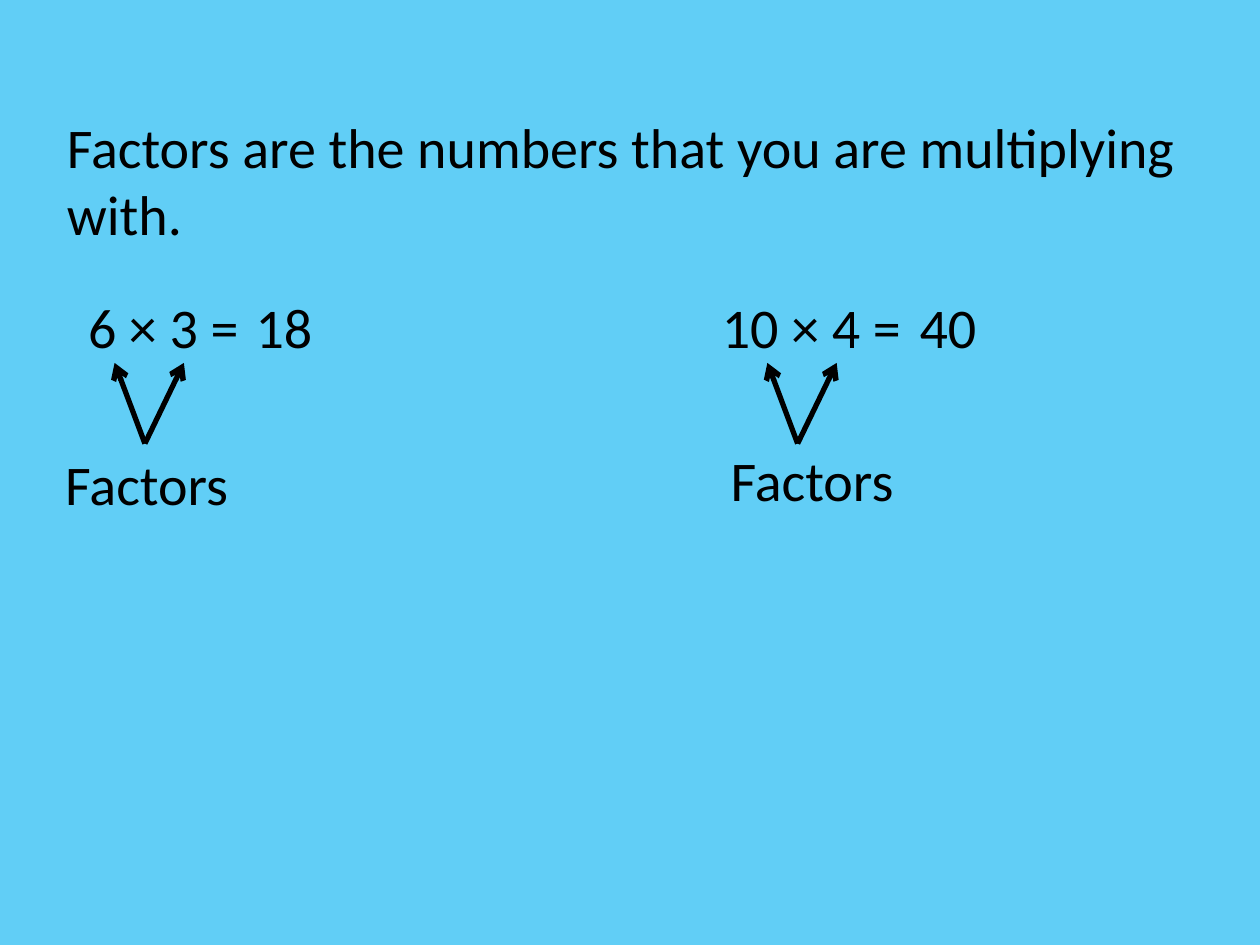
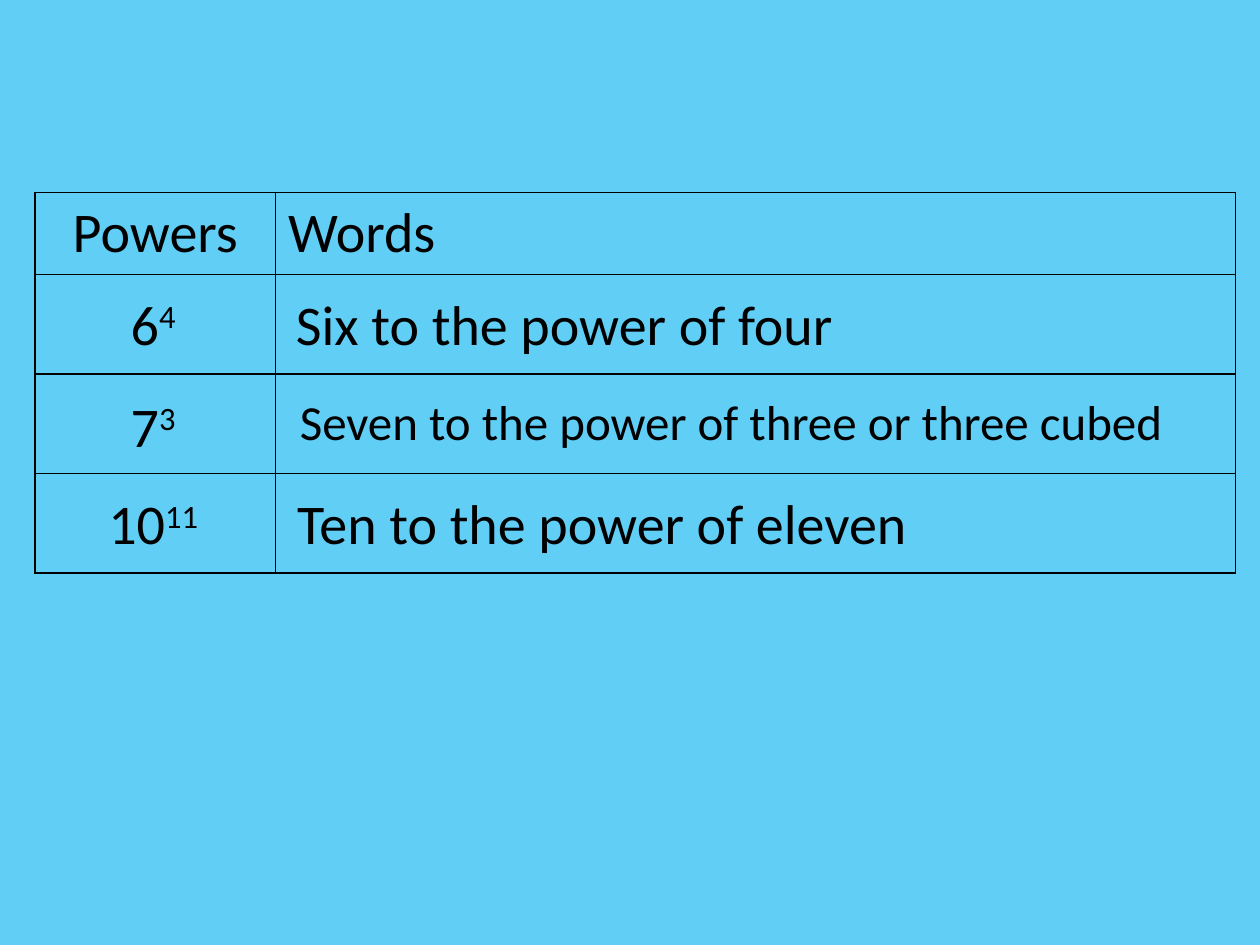
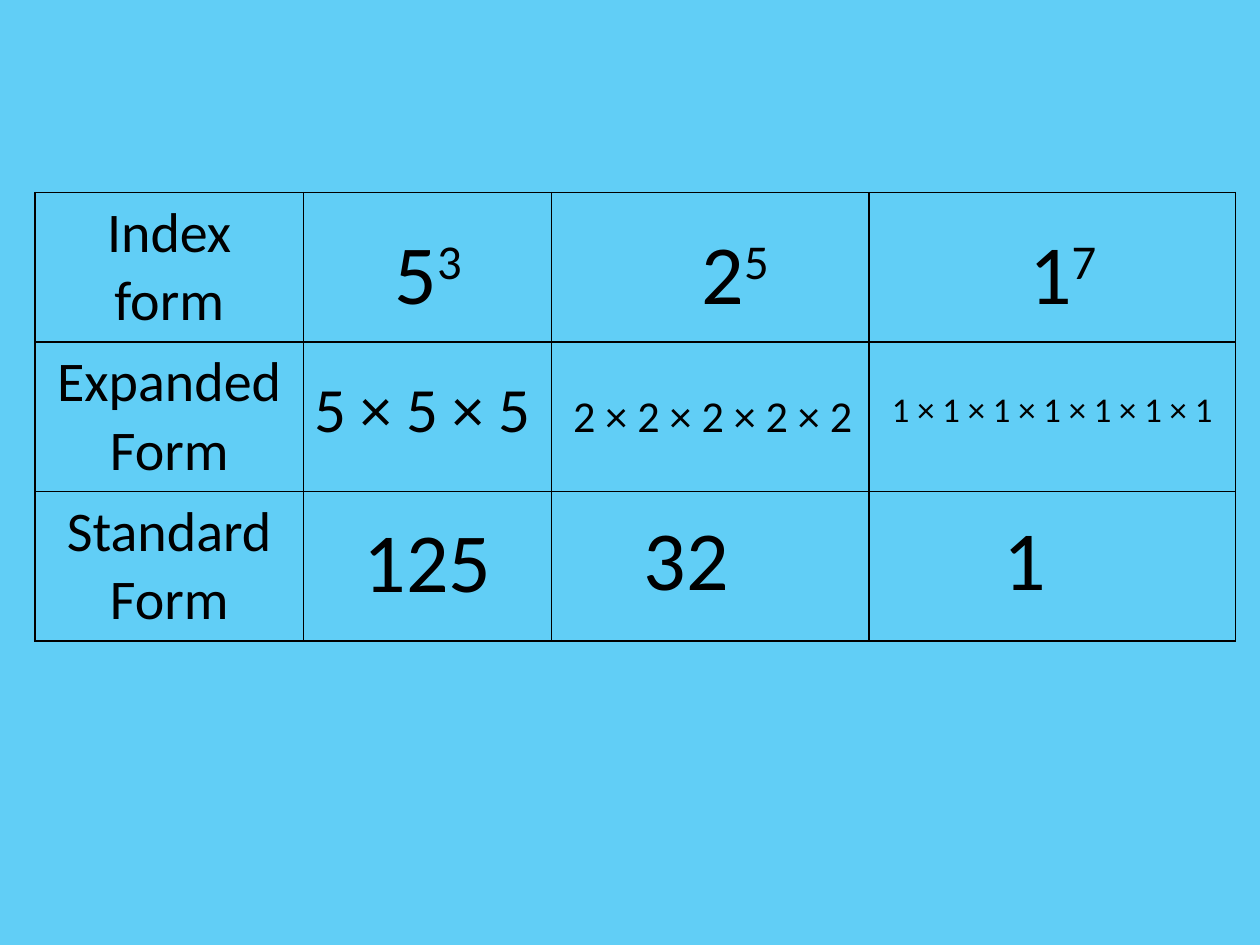
from lxml import etree
from pptx import Presentation
from pptx.dml.color import RGBColor
from pptx.enum import shapes, text
from pptx.oxml import ns
from pptx.util import Pt

BLACK = RGBColor(0x00, 0x00, 0x00)
SKY = RGBColor(0x61, 0xCE, 0xF6)
FONT = "Calibri"
BODY_LAYOUT, BLANK_LAYOUT = 1, 6
CENTER = text.PP_ALIGN.CENTER


def write(frame, content, size=32, align=None):
    """Fill a text frame with one paragraph; text after ^ is raised."""
    frame.word_wrap = True
    paragraph = frame.paragraphs[0]
    paragraph.alignment = align
    paragraph.space_before = Pt(0)
    base, _, power = content.partition("^")
    for part, raised in ((base, False), (power, True)):
        if not part:
            continue
        run = paragraph.add_run()
        run.text = part
        run.font.name = FONT
        run.font.size = Pt(size)
        run.font.color.rgb = BLACK
        if raised:
            run._r.get_or_add_rPr().set("baseline", "30000")


def add_borders(cell, width=1):
    properties = cell._tc.get_or_add_tcPr()
    for side in ("a:lnL", "a:lnR", "a:lnT", "a:lnB"):
        line = etree.SubElement(properties, ns.qn(side), w=str(Pt(width)))
        fill = etree.SubElement(line, ns.qn("a:solidFill"))
        etree.SubElement(fill, ns.qn("a:srgbClr"), val=str(BLACK))


class Deck:
    def __init__(self):
        self.presentation = Presentation()
        self.presentation.slide_width = Pt(720)
        self.presentation.slide_height = Pt(540)
        self.slide = None

    def new_slide(self, layout):
        layouts = self.presentation.slide_layouts
        self.slide = self.presentation.slides.add_slide(layouts[layout])
        fill = self.slide.background.fill
        fill.solid()
        fill.fore_color.rgb = SKY
        title = self.slide.shapes.title
        if title is not None:
            title._element.getparent().remove(title._element)

    def body(self, content, left, top, width, height, **style):
        """Place the body placeholder without a bullet."""
        shape = self.slide.placeholders[1]
        shape.left, shape.top = Pt(left), Pt(top)
        shape.width, shape.height = Pt(width), Pt(height)
        frame = shape.text_frame
        frame.auto_size = text.MSO_AUTO_SIZE.NONE
        properties = frame.paragraphs[0]._p.get_or_add_pPr()
        properties.set("marL", "0")
        properties.set("indent", "0")
        etree.SubElement(properties, ns.qn("a:buNone"))
        write(frame, content, **style)

    def label(self, content, left, top, width, height, **style):
        box = self.slide.shapes.add_textbox(Pt(left), Pt(top), Pt(width), Pt(height))
        write(box.text_frame, content, **style)

    def arrow(self, start, end):
        line = self.slide.shapes.add_connector(
            shapes.MSO_CONNECTOR.STRAIGHT, *map(Pt, start + end))
        line.line.color.rgb = BLACK
        line.line.width = Pt(3)
        etree.SubElement(line.line._get_or_add_ln(), ns.qn("a:tailEnd"), type="arrow")
        etree.SubElement(line._element.spPr, ns.qn("a:effectLst"))

    def table(self, widths, heights, entries):
        """Draw an outlined grid; entries maps (row, column) to (text, alignment)."""
        table = self.slide.shapes.add_table(
            len(heights), len(widths), Pt(20), Pt(110),
            Pt(sum(widths)), Pt(sum(heights))).table
        table.first_row = table.horz_banding = False
        for column, width in zip(table.columns, widths):
            column.width = Pt(width)
        for row, height in zip(table.rows, heights):
            row.height = Pt(height)
        for cell in table.iter_cells():
            add_borders(cell)
            cell.fill.background()
        for (row, column), (content, align) in entries.items():
            write(table.cell(row, column).text_frame, content, align=align)


def factors_slide(deck):
    deck.new_slide(BODY_LAYOUT)
    deck.body("Factors are the numbers that you are multiplying with.",
              31, 60.5, 669, 93)
    sums = (
        ("6 × 3 =", 43.2, 107, "18", 139, 82.8, (30.2, 253.5)),
        ("10 × 4 =", 405.4, 123, "40", 518.4, 455.8, (410.4, 251.3)),
    )
    for question, left, width, product, product_left, fork, factors in sums:
        deck.label(question, left, 163.5, width, 55)
        deck.label(product, product_left, 163.5, 53, 54)
        for offset in (-17.3, 22.3):
            deck.arrow((fork, 253.5), (fork + offset, 207.4))
        deck.label("Factors", *factors, 109, 54)


def powers_slide(deck):
    deck.new_slide(BLANK_LAYOUT)
    deck.table((137.5, 548.6), (46.8, 56.9, 56.9, 56.9),
               {(0, 0): ("Powers", CENTER), (0, 1): ("Words", None)})
    rows = (
        (162, "6^4", "Six to the power of four", 162, 32),
        (220.3, "7^3", "Seven to the power of three or three cubed", 164.2, 28),
        (275.8, "10^11", "Ten to the power of eleven", 162.7, 32),
    )
    for top, power, words, left, size in rows:
        deck.label(power, 25.2, top, 124.6, 46, align=CENTER)
        deck.label(words, left, top, 538, 46, size=size)


def forms_slide(deck):
    deck.new_slide(BODY_LAYOUT)
    forms = ("Index form", "Expanded Form", "Standard Form")
    deck.table((153.4, 141.8, 181.4, 209.5), (85.3,) * 3,
               {(row, 0): (form, CENTER) for row, form in enumerate(forms)})
    index_row = dict(top=122.4, width=67.7, height=67.7, size=48)
    deck.body("5^3", 218.2, **index_row)
    deck.label("2^5", 393.8, **index_row)
    deck.label("1^7", 581, **index_row)

    expanded = (
        (5, 3, 172.8, 207.4, 169, 36),
        (2, 5, 320.4, 218.2, 182, 25.2),
        (1, 7, 502.6, 218.2, 209.5, 19.8),
    )
    for base, power, left, top, width, size in expanded:
        deck.label(" × ".join([str(base)] * power), left, top, width, 46, size=size)

    for value, left, top in (("125", 200.9, 287.3), ("32", 360.7, 285.8),
                             ("1", 566.6, 285.8)):
        deck.label(value, left, top, 97, 67.7, size=48)


def main():
    deck = Deck()
    factors_slide(deck)
    powers_slide(deck)
    forms_slide(deck)
    deck.presentation.save("out.pptx")


if __name__ == "__main__":
    main()
